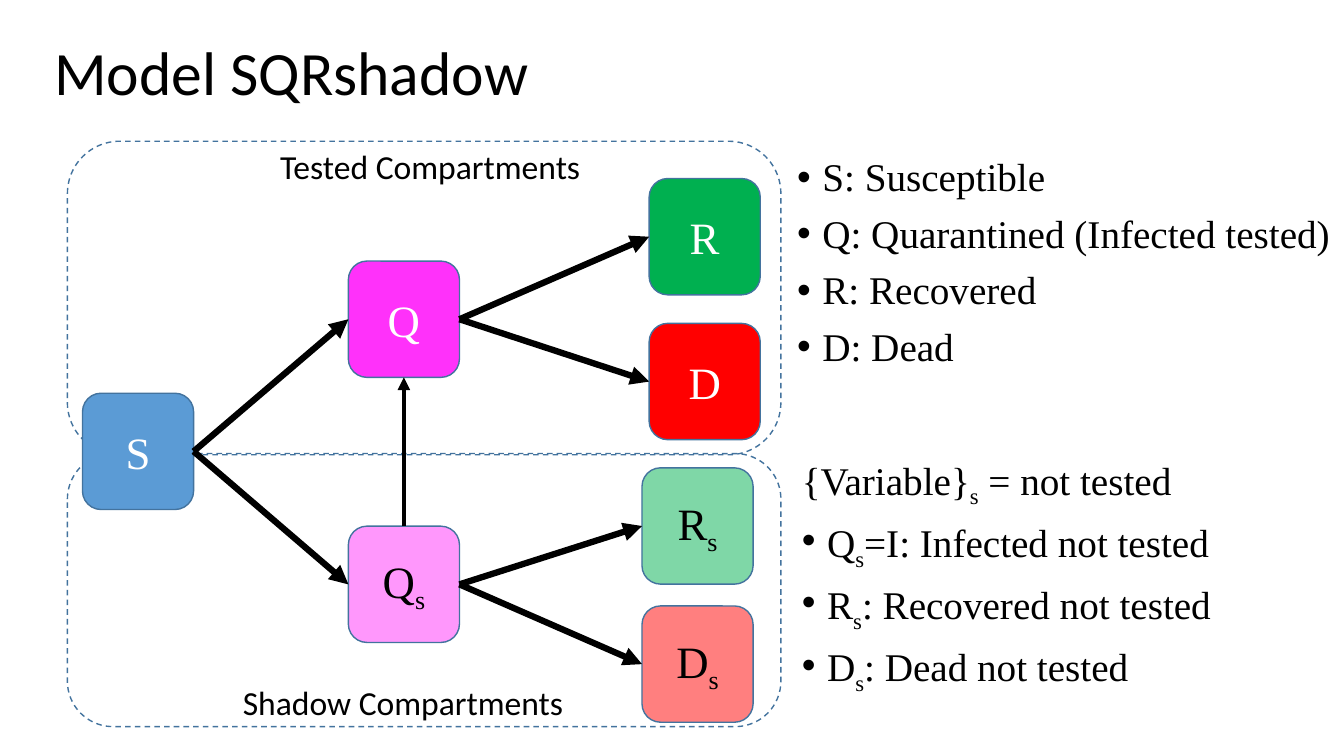
from typing import Any, NamedTuple

import lxml.etree
import pptx
import pptx.dml.color
import pptx.enum.dml
import pptx.enum.shapes
import pptx.enum.text
import pptx.oxml.ns
import pptx.util

Cm, Pt = pptx.util.Cm, pptx.util.Pt
qn = pptx.oxml.ns.qn
SHAPE = pptx.enum.shapes.MSO_SHAPE
ANCHOR = pptx.enum.text.MSO_ANCHOR

COLORS = {
    "black": "000000", "white": "FFFFFF", "outline": "43739E",
    "blue": "5B9BD5", "green": "00B050", "red": "FF0000", "magenta": "FF31FA",
}
SERIF, SANS = "Times New Roman", "Calibri"
BOX_W, BOX_H = 2.8, 2.93
TOP, LEFT, BOTTOM, RIGHT = range(4)  # connection sites of a rounded box


class Compartment(NamedTuple):
    text: str  # "|" switches to subscript and back
    x: float
    y: float
    fill: str
    shadow: bool = False


class Flow(NamedTuple):
    source: str
    target: str
    exit: int = RIGHT
    entry: int = LEFT
    width: float = 4.5


class TextBlock(NamedTuple):
    x: float
    y: float
    w: float
    h: float
    lines: list[str]  # a leading "•" makes a bullet
    size: float
    font: str
    spacing: float = 1.0
    before: float = 0
    wrap: bool = True
    anchor: Any = ANCHOR.TOP


ZONES = [(1.7, 3.56, 17.98, 7.9), (1.7, 11.43, 17.98, 6.88)]

COMPARTMENTS = [
    Compartment("S", 2.08, 9.91, "blue"),
    Compartment("R", 16.36, 4.5, "green"),
    Compartment("D", 16.36, 8.15, "red"),
    Compartment("Q", 8.78, 6.58, "magenta"),
    Compartment("R|s", 16.18, 11.79, "green", True),
    Compartment("D|s", 16.18, 15.27, "red", True),
    Compartment("Q|s", 8.78, 13.26, "magenta", True),
]

FLOWS = [
    Flow("S", "Q"), Flow("Q", "R"), Flow("Q", "D"),
    Flow("S", "Q|s"), Flow("Q|s", "R|s"), Flow("Q|s", "D|s"),
    Flow("Q|s", "Q", TOP, BOTTOM, 3),
]

TEXTS = [
    TextBlock(1.12, 0.69, 32.49, 2.44, ["Model SQRshadow"], 44, SANS, 0.9,
              anchor=ANCHOR.MIDDLE),
    TextBlock(19.84, 3.86, 13.95, 7.14,
              ["•S: Susceptible", "•Q: Quarantined (Infected tested)",
               "•R: Recovered", "•D: Dead"], 28, SERIF, 0.9, 10),
    TextBlock(19.96, 11.38, 13.56, 6.65,
              ["{Variable}|s| = not tested", "•Q|s|=I: Infected not tested",
               "•R|s|: Recovered not tested", "•D|s|: Dead not tested"],
              28, SERIF, 0.9, 10),
    TextBlock(6.81, 3.56, 8.15, 1.27, ["Tested Compartments"], 24, SANS, wrap=False),
    TextBlock(5.87, 17.07, 8.66, 1.27, ["Shadow Compartments"], 24, SANS, wrap=False),
]


def rgb(name: str) -> pptx.dml.color.RGBColor:
    return pptx.dml.color.RGBColor.from_string(COLORS[name])


def apply(target: Any, values: dict[str, Any]) -> None:
    for name, value in values.items():
        setattr(target, name, value)


def add_runs(p: Any, text: str, size: float, font: str, color: str) -> None:
    for i, part in enumerate(text.split("|")):
        r = p.add_run()
        r.text = part
        apply(r.font, {"size": Pt(size), "name": font})
        r.font.color.rgb = rgb(color)
        if i % 2:
            r._r.get_or_add_rPr().set("baseline", "-25000")


def add_bullet(p: Any) -> None:
    pPr = p._p.get_or_add_pPr()
    indent = Cm(0.635)
    pPr.set("marL", str(indent))
    pPr.set("indent", str(-indent))
    lxml.etree.SubElement(pPr, qn("a:buFont"), typeface="Arial")
    lxml.etree.SubElement(pPr, qn("a:buChar"), char="•")


def add_text(slide: Any, block: TextBlock) -> None:
    s = slide.shapes.add_textbox(Cm(block.x), Cm(block.y), Cm(block.w), Cm(block.h))
    tf = s.text_frame
    apply(tf, {"word_wrap": block.wrap, "vertical_anchor": block.anchor})
    for i, line in enumerate(block.lines):
        p = tf.add_paragraph() if i else tf.paragraphs[0]
        if line.startswith("•"):
            add_bullet(p)
        apply(p, {"line_spacing": block.spacing,
                  "space_before": Pt(block.before if i else 0)})
        add_runs(p, line.removeprefix("•"), block.size, block.font, "black")


def add_rounded(slide: Any, x: float, y: float, w: float, h: float) -> Any:
    s = slide.shapes.add_shape(SHAPE.ROUNDED_RECTANGLE, Cm(x), Cm(y), Cm(w), Cm(h))
    s.shadow.inherit = False
    s.line.color.rgb = rgb("outline")
    s.line.width = Pt(1)
    return s


def add_zone(slide: Any, x: float, y: float, w: float, h: float) -> None:
    s = add_rounded(slide, x, y, w, h)
    s.fill.background()
    s.line.dash_style = pptx.enum.dml.MSO_LINE.DASH


def add_compartment(slide: Any, item: Compartment) -> Any:
    s = add_rounded(slide, item.x, item.y, BOX_W, BOX_H)
    s.fill.solid()
    s.fill.fore_color.rgb = rgb(item.fill)
    if item.shadow:
        color = s._element.spPr.find(qn("a:solidFill")).find(qn("a:srgbClr"))
        lxml.etree.SubElement(color, qn("a:alpha"), val="50000")
    tf = s.text_frame
    tf.vertical_anchor = ANCHOR.MIDDLE
    p = tf.paragraphs[0]
    p.alignment = pptx.enum.text.PP_ALIGN.CENTER
    add_runs(p, item.text, 32, SERIF, "black" if item.shadow else "white")
    return s


def add_flow(slide: Any, flow: Flow, boxes: dict[str, Any]) -> None:
    c = slide.shapes.add_connector(pptx.enum.shapes.MSO_CONNECTOR.STRAIGHT, 0, 0, 0, 0)
    c.begin_connect(boxes[flow.source], flow.exit)
    c.end_connect(boxes[flow.target], flow.entry)
    c.line.color.rgb = rgb("black")
    c.line.width = Pt(flow.width)
    lxml.etree.SubElement(c.line._get_or_add_ln(), qn("a:tailEnd"), type="triangle")
    lxml.etree.SubElement(c._element.spPr, qn("a:effectLst"))


def main() -> None:
    prs = pptx.Presentation()
    apply(prs, {"slide_width": Cm(33.87), "slide_height": Cm(19.05)})
    slide = prs.slides.add_slide(prs.slide_layouts[6])

    # Dashed zones behind the diagram
    for zone in ZONES:
        add_zone(slide, *zone)

    # Compartments and the flows between them
    boxes = {item.text: add_compartment(slide, item) for item in COMPARTMENTS}
    for flow in FLOWS:
        add_flow(slide, flow, boxes)

    # Title, legends and zone labels
    for block in TEXTS:
        add_text(slide, block)

    prs.save("out.pptx")


if __name__ == "__main__":
    main()
